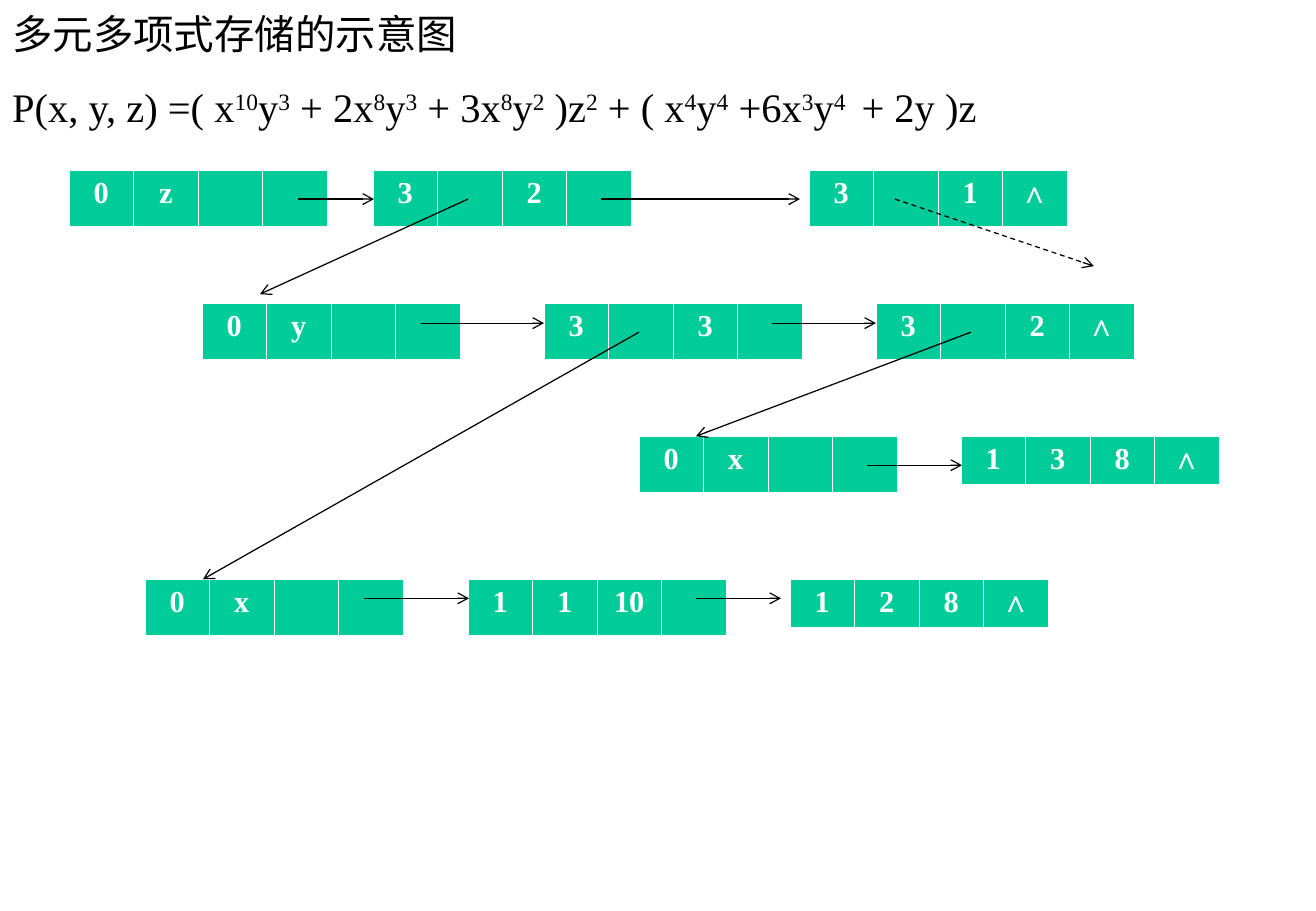
"""Builds the slide on storing a polynomial in several variables as linked lists."""
from lxml import etree
from pptx import Presentation
from pptx import util as u
from pptx.dml.color import RGBColor
from pptx.enum import dml, shapes, text
from pptx.oxml import ns

PX = 7532
FONT = "Times New Roman"
BLACK = RGBColor(0x00, 0x00, 0x00)
WHITE = RGBColor(0xFF, 0xFF, 0xFF)
GREEN = RGBColor(0x00, 0xCC, 0x99)

SLIDE_SIZE = (u.Inches(10.84), u.Inches(7.5))
TITLE = "多元多项式存储的示意图"
TITLE_AREA = (0, 0, 1118, 67)
FORMULA = [
    ("P(x, y, z) =( x", "10"), ("y", "3"), (" + 2x", "8"), ("y", "3"),
    (" + 3x", "8"), ("y", "2"), (" )z", "2"), (" + ( x", "4"), ("y", "4"),
    (" +6x", "3"), ("y", "4 "), (" + 2y )z", ""),
]
FORMULA_AREA = (0, 76, 1283, 749)
FORMULA_INSET = 6

NODE_WIDTH = 258
FULL_HEIGHT, OPEN_HEIGHT = 49, 57
NODE_ROWS = {
    170: [(69, ["0", "z", "", ""]), (373, ["3", "", "2", ""]), (809, ["3", "", "1", "∧"])],
    303: [(202, ["0", "y", "", ""]), (544, ["3", "", "3", ""]), (876, ["3", "", "2", "∧"])],
    436: [(639, ["0", "x", "", ""]), (961, ["1", "3", "8", "∧"])],
    579: [(145, ["0", "x", "", ""]), (468, ["1", "1", "10", ""]), (790, ["1", "2", "8", "∧"])],
}
BORDERS = {"lnL": 0.45, "lnR": 0.45, "lnT": 0.45, "lnB": 1.47}

NEXT_LINKS = {
    199: [(298, 374), (601, 800)],
    323: [(421, 544), (772, 876)],
    465: [(867, 962)],
    598: [(364, 469), (696, 781)],
}
CHILD_LINKS = [(468, 199, 260, 294), (639, 332, 203, 579), (971, 332, 696, 436)]
OPEN_LINK = (895, 199, 1094, 266)


def emu(lengths):
    return [u.Emu(length * PX) for length in lengths]


def add_run(para, words, size, color, bold=False):
    span = para.add_run()
    span.text = words
    span.font.size = u.Pt(size)
    span.font.name = FONT
    span.font.color.rgb = color
    span.font.bold = bold
    return span


def prepare(box, area):
    box.left, box.top, box.width, box.height = emu(area)
    frame = box.text_frame
    frame.word_wrap = True
    frame.auto_size = text.MSO_AUTO_SIZE.NONE
    para = frame.paragraphs[0]
    para.alignment = text.PP_ALIGN.LEFT
    para.space_before = u.Pt(0)
    return frame, para


def add_border(cell, side, width):
    line = etree.SubElement(cell._tc.get_or_add_tcPr(), ns.qn(f"a:{side}"), w=str(u.Pt(width)))
    fill = etree.SubElement(line, ns.qn("a:solidFill"))
    etree.SubElement(fill, ns.qn("a:srgbClr"), val=str(WHITE))


def add_node(page, left, top, fields):
    height = FULL_HEIGHT if all(fields) else OPEN_HEIGHT
    area = emu((left, top, NODE_WIDTH, height))
    table = page.shapes.add_table(1, len(fields), *area).table
    table.first_row = table.horz_banding = False
    for column in table.columns:
        column.width = u.Emu(NODE_WIDTH * PX // len(fields))
    for cell, field in zip(table.iter_cells(), fields):
        for side, width in BORDERS.items():
            add_border(cell, side, width)
        cell.fill.solid()
        cell.fill.fore_color.rgb = GREEN
        para = cell.text_frame.paragraphs[0]
        para.alignment = text.PP_ALIGN.CENTER
        if field:
            add_run(para, field, 18, WHITE, bold=True)


def add_arrow(page, ends, dashed=False):
    arrow = page.shapes.add_connector(shapes.MSO_CONNECTOR.STRAIGHT, *emu(ends))
    arrow.line.color.rgb = BLACK
    arrow.line.width = u.Pt(0.75)
    if dashed:
        arrow.line.dash_style = dml.MSO_LINE.DASH
    properties = arrow._element.spPr
    etree.SubElement(properties.find(ns.qn("a:ln")), ns.qn("a:tailEnd"), type="arrow")
    etree.SubElement(properties, ns.qn("a:effectLst"))


def main():
    deck = Presentation()
    deck.slide_width, deck.slide_height = SLIDE_SIZE
    page = deck.slides.add_slide(deck.slide_layouts[0])

    frame, para = prepare(page.shapes.title, TITLE_AREA)
    frame.vertical_anchor = text.MSO_ANCHOR.MIDDLE
    add_run(para, TITLE, 24, BLACK)

    frame, para = prepare(page.placeholders[1], FORMULA_AREA)
    frame.vertical_anchor = text.MSO_ANCHOR.TOP
    frame.margin_top = u.Emu(FORMULA_INSET * PX)
    for base, power in FORMULA:
        add_run(para, base, 24, BLACK)
        if power:
            span = add_run(para, power, 24, BLACK)
            span.font._element.set("baseline", "30000")

    for top, nodes in NODE_ROWS.items():
        for left, fields in nodes:
            add_node(page, left, top, fields)

    for level, links in NEXT_LINKS.items():
        for start, end in links:
            add_arrow(page, (start, level, end, level))
    for ends in CHILD_LINKS:
        add_arrow(page, ends)
    add_arrow(page, OPEN_LINK, dashed=True)

    deck.save("out.pptx")


if __name__ == "__main__":
    main()
